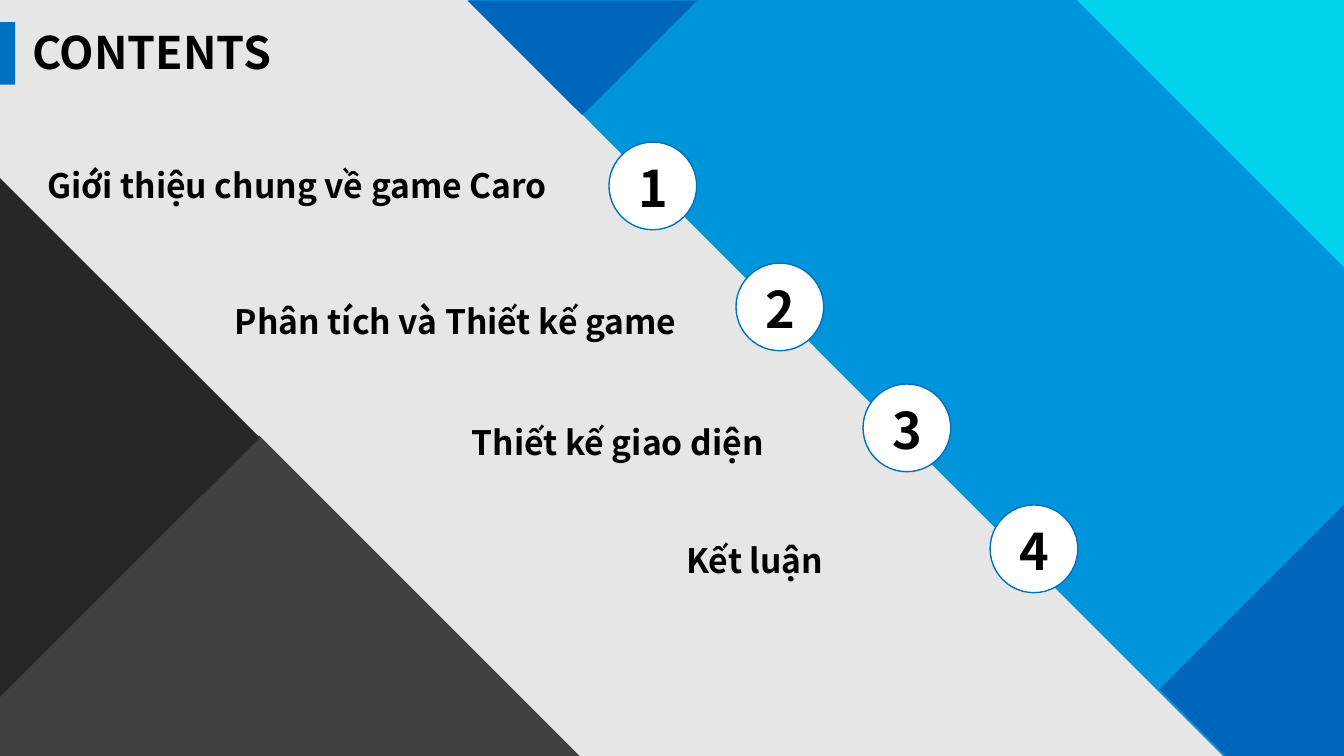
from dataclasses import dataclass

from pptx import Presentation
from pptx.dml.color import RGBColor
from pptx.enum.shapes import MSO_SHAPE
from pptx.shapes.autoshape import Shape
from pptx.shapes.shapetree import GroupShapes, SlideShapes
from pptx.util import Inches, Pt

FONT = "Noto Sans CJK SC"
BLACK = "000000"
WHITE = "FFFFFF"
ACCENT = "0070C0"
BADGE_SIZE = 0.87
BADGE_LEFT, BADGE_TOP = 6.04, 1.41
BADGE_STEP_X, BADGE_STEP_Y = 1.26, 1.2


@dataclass(frozen=True)
class Triangle:
    left: float
    top: float
    side: float
    rotation: int
    color: str


@dataclass(frozen=True)
class Panel:
    corners: tuple[tuple[float, float], ...]
    color: str


@dataclass(frozen=True)
class Topic:
    title: str
    left: float
    top: float
    width: float


BLUE_PANEL = Panel(((4.64, 0), (13.33, 0), (13.33, 7.5), (12.13, 7.5)), "0094DA")
BLUE_CORNER = Panel(((13.33, 5.01), (13.33, 7.5), (12.16, 7.5), (11.5, 6.84)), "0066BB")
GREY_PANEL = Panel(((2.57, 4.32), (5.75, 7.5), (0, 7.5), (0, 6.9)), "404040")

CYAN_CORNER = Triangle(10.68, 0, 2.65, 180, "00D2EB")
BLUE_NOTCH = Triangle(4.97, -0.8, 1.61, 315, "0066BB")
DARK_EDGE = Triangle(-1.82, 2.52, 3.64, 225, "262626")

TOPICS = (
    Topic("Giới thiệu chung về game Caro", 0.37, 1.59, 5.67),
    Topic("Phân tích và Thiết kế game", 2.23, 2.94, 5.08),
    Topic("Thiết kế giao diện", 4.58, 4.14, 4.05),
    Topic("Kết luận", 6.71, 5.31, 3.21),
)


def rgb(color: str) -> RGBColor:
    return RGBColor.from_string(color)


def paint(shape: Shape, fill: str, line: str | None = None) -> None:
    shape.shadow.inherit = False
    shape.fill.solid()
    shape.fill.fore_color.rgb = rgb(fill)
    if line is None:
        shape.line.fill.background()
    else:
        shape.line.color.rgb = rgb(line)
        shape.line.width = Pt(1)


def draw_panel(shapes: SlideShapes, panel: Panel) -> None:
    corners = [(Inches(x), Inches(y)) for x, y in panel.corners]
    builder = shapes.build_freeform(*corners[0])
    builder.add_line_segments(corners[1:], close=True)
    paint(builder.convert_to_shape(), panel.color)


def draw_triangle(shapes: SlideShapes, triangle: Triangle) -> None:
    side = Inches(triangle.side)
    corner = shapes.add_shape(
        MSO_SHAPE.RIGHT_TRIANGLE, Inches(triangle.left), Inches(triangle.top), side, side
    )
    corner.rotation = triangle.rotation
    paint(corner, triangle.color)


def write(
    shapes: SlideShapes | GroupShapes,
    text: str,
    left: float,
    top: float,
    width: float,
    height: float,
    size: int,
) -> None:
    box = shapes.add_textbox(Inches(left), Inches(top), Inches(width), Inches(height))
    box.text_frame.word_wrap = True
    run = box.text_frame.paragraphs[0].add_run()
    run.text = text
    run.font.name = FONT
    run.font.size = Pt(size)
    run.font.bold = True
    run.font.color.rgb = rgb(BLACK)


def draw_badge(shapes: SlideShapes, index: int) -> None:
    left = BADGE_LEFT + index * BADGE_STEP_X
    top = BADGE_TOP + index * BADGE_STEP_Y
    badge = shapes.add_group_shape().shapes
    circle = badge.add_shape(
        MSO_SHAPE.OVAL, Inches(left), Inches(top), Inches(BADGE_SIZE), Inches(BADGE_SIZE)
    )
    paint(circle, WHITE, ACCENT)
    write(badge, str(index + 1), left + 0.19, top + 0.1, 0.47, 0.71, 36)


def main() -> None:
    deck = Presentation()
    deck.slide_width, deck.slide_height = Inches(13.33), Inches(7.5)
    slide = deck.slides.add_slide(deck.slide_layouts[6])
    slide.background.fill.solid()
    slide.background.fill.fore_color.rgb = rgb("E7E6E6")
    shapes = slide.shapes

    draw_panel(shapes, BLUE_PANEL)
    draw_triangle(shapes, CYAN_CORNER)
    draw_triangle(shapes, BLUE_NOTCH)
    draw_panel(shapes, BLUE_CORNER)
    draw_panel(shapes, GREY_PANEL)
    draw_triangle(shapes, DARK_EDGE)

    title_bar = shapes.add_shape(
        MSO_SHAPE.RECTANGLE, Inches(0), Inches(0.22), Inches(0.15), Inches(0.62)
    )
    paint(title_bar, ACCENT)
    write(shapes, "CONTENTS", 0.22, 0.2, 2.81, 0.64, 32)

    for index, topic in enumerate(TOPICS):
        draw_badge(shapes, index)
        write(shapes, topic.title, topic.left, topic.top, topic.width, 0.5, 24)

    deck.save("out.pptx")


if __name__ == "__main__":
    main()
